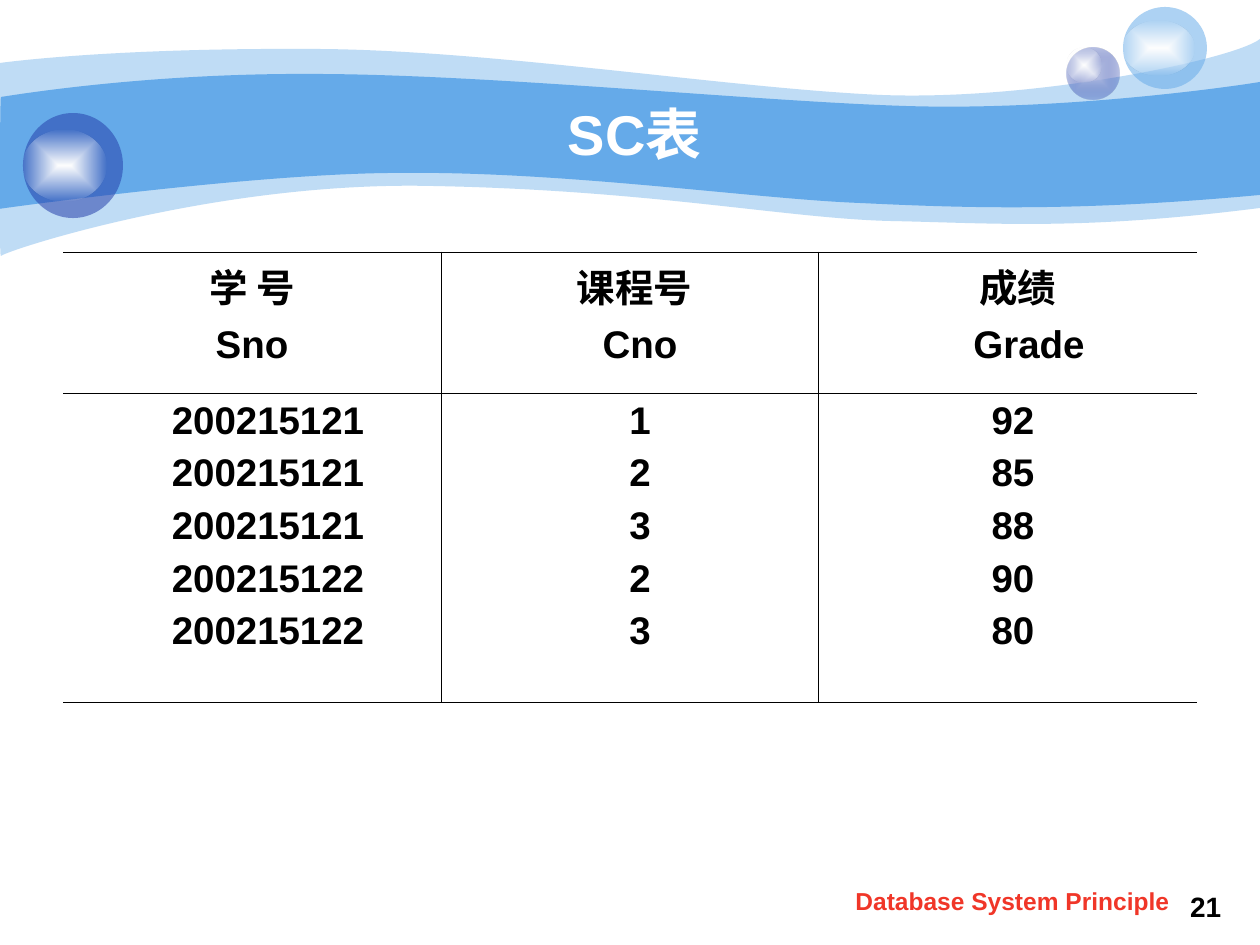
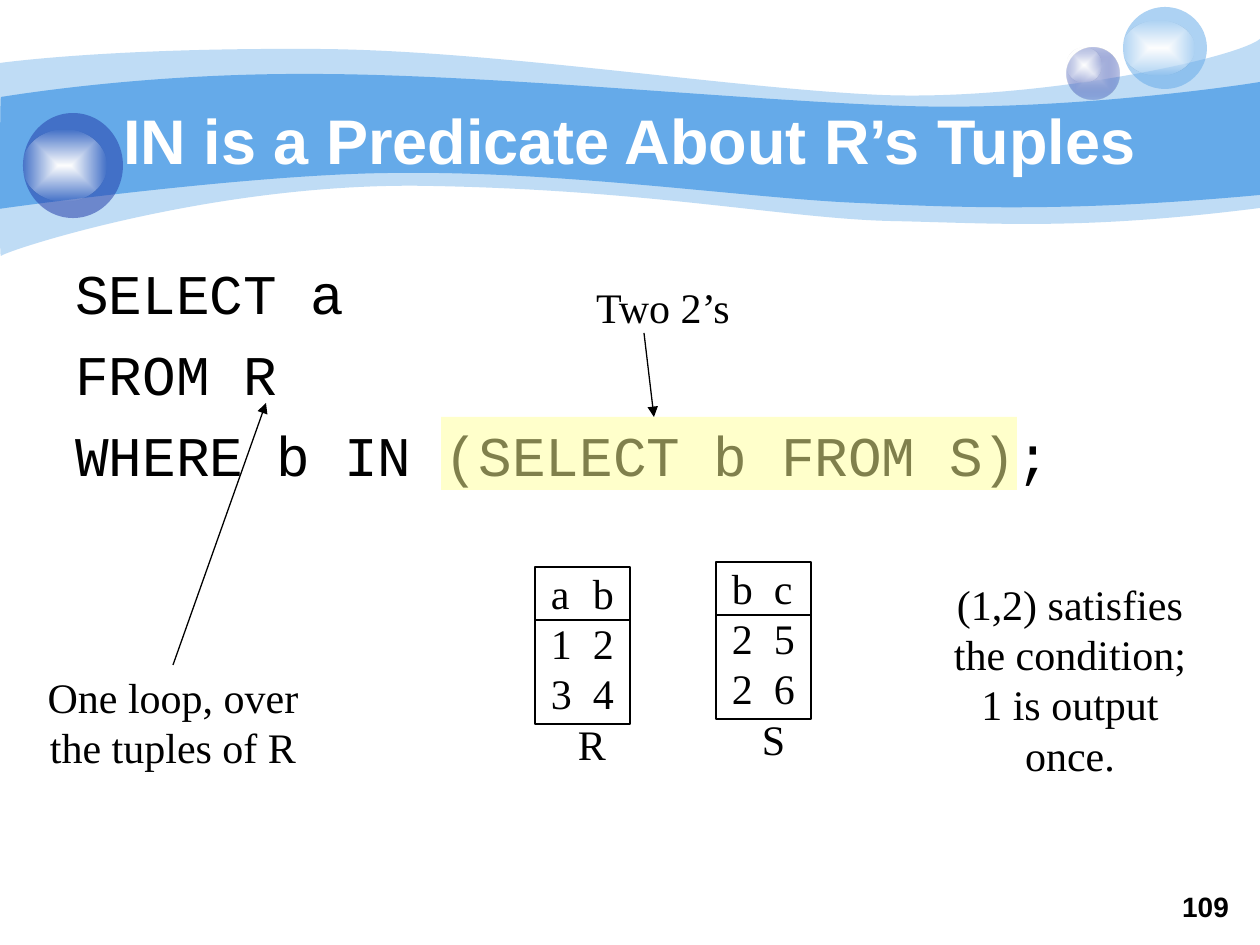
"""Build two database lecture slides: the SC table and the IN predicate."""
from dataclasses import dataclass

from lxml import etree
from pptx import Presentation
from pptx import util as u
from pptx.dml.color import RGBColor
from pptx.enum import shapes, text
from pptx.oxml import parse_xml
from pptx.oxml.ns import nsdecls, qn


@dataclass(frozen=True)
class Theme:
    sky: str = "65AAE9"
    navy: str = "233DA9"
    lilac: str = "C7CEE9"
    white: str = "FFFFFF"
    black: str = "000000"
    red: str = "F03628"
    yellow: str = "FFFF99"
    sans: str = "Arial"
    serif: str = "Times New Roman"
    mono: str = "Courier New"
    title: int = 32
    wide_title: int = 36
    code: int = 32
    note: int = 24
    cell: int = 22
    number: int = 16
    footer: int = 14
    rule: float = 0.45
    line: float = 0.75


T = Theme()
SCALE = 914400 / 126
SLIDE = (1260, 945)
CENTER, LEFT = text.PP_ALIGN.CENTER, text.PP_ALIGN.LEFT
TOP, MIDDLE = text.MSO_ANCHOR.TOP, text.MSO_ANCHOR.MIDDLE

OUTER_WAVE = [
    [(0, 63)],
    [(30, 59), (135, 48), (311, 49)],
    [(486, 49), (725, 88), (881, 95)],
    [(1036, 101), (1235, 59), (1260, 39)],
    [(1260, 208)],
    [(1079, 231), (992, 223), (888, 221)],
    [(784, 218), (649, 190), (432, 186)],
    [(217, 181), (5, 251), (1, 256)],
    [(-1, 262), (0, 95), (0, 63)],
]
INNER_WAVE = [
    [(1, 97)],
    [(3, 97), (139, 73), (312, 74)],
    [(486, 74), (750, 101), (905, 106)],
    [(1060, 111), (1230, 87), (1260, 82)],
    [(1260, 195)],
    [(1075, 212), (964, 208), (859, 203)],
    [(755, 199), (563, 171), (399, 173)],
    [(256, 173), (-3, 209), (-1, 209)],
    [(0, 209), (0, 97), (1, 97)],
]
WAVES = [(OUTER_WAVE, [(T.sky, 41)]), (INNER_WAVE, [(T.sky, 100)])]
GLOW = [(T.white, 100), (T.white, 0)]
BUBBLES = [
    ((1067, 48, 53, 51), [(T.lilac, 100), (T.navy, 31)]),
    ((1067, 48, 35, 34), GLOW),
    ((1123, 7, 84, 82), [(T.sky, 53)]),
    ((1123, 21, 71, 54), GLOW),
    ((23, 113, 100, 105), [(T.navy, 53)]),
    ((23, 130, 83, 71), GLOW),
]
NUMBER_BOX = (1166, 883, 79, 47)
FOOTER_BOX = (809, 880, 407, 44)

SC_CORNER = (63, 252)
SC_WIDTHS, SC_HEIGHTS = (378, 377, 379), (141, 309)
SC_HEAD = [
    ["学 号", "Sno"],
    [("课程号", 10), ("Cno", 21)],
    [("成绩", 20), ("Grade", 43)],
]
SC_COLUMNS = [
    (32, ["200215121", "200215121", "200215121", "200215122", "200215122"]),
    (21, ["1", "2", "3", "2", "3"]),
    (11, ["92", "85", "88", "90", "80"]),
]
QUERY = ["SELECT a", "FROM R", "WHERE b IN (SELECT b FROM S);"]
RELATIONS = [
    ((535, 567), ["a\tb", "1\t2", "3\t4", ("R", 27)]),
    ((716, 562), ["b\tc", "2\t5", "2\t6", ("S", 30)]),
]
LOOP_NOTE = ((35, 665, 276, 113), ["One loop, over", "the tuples of R"])
RESULT_NOTE = ((919, 572, 302, 164),
               ["(1,2) satisfies", "the condition;", "1 is output once."])
TWOS_NOTE = ((581, 275, 164, 63), ["Two 2’s"])
SUBQUERY_BOX = (441, 417, 576, 73)


def px(*values):
    return [u.Emu(round(v * SCALE)) for v in values]


def write(tf, lines, size=T.note, font=T.serif, color=T.black, bold=False,
          align=CENTER, before=0, anchor=TOP, wrap=True, tab=0):
    tf.word_wrap = wrap
    if not wrap:
        tf.auto_size = text.MSO_AUTO_SIZE.SHAPE_TO_FIT_TEXT
    tf.vertical_anchor = anchor
    for i, line in enumerate(lines):
        words, indent = (line, 0) if isinstance(line, str) else line
        p = tf.paragraphs[0] if i == 0 else tf.add_paragraph()
        props = p._p.get_or_add_pPr()
        if tab:
            stops = etree.SubElement(props, qn("a:tabLst"))
            etree.SubElement(stops, qn("a:tab"), pos=str(px(tab)[0]),
                             algn="l")
        if indent:
            props.set("marL", str(px(indent)[0]))
        p.alignment = align
        if i and before:
            p.space_before = u.Pt(before)
        r = p.add_run()
        r.text = words
        r.font.size, r.font.name, r.font.bold = u.Pt(size), font, bold
        r.font.color.rgb = RGBColor.from_string(color)


def add_text(s, box, lines, **fmt):
    sp = s.shapes.add_textbox(*px(*box))
    write(sp.text_frame, lines, **fmt)
    return sp


def draw_line(line):
    line.color.rgb = RGBColor.from_string(T.black)
    line.width = u.Pt(T.line)


def paint(sp, stops):
    sp.shadow.inherit = False
    sp.line.fill.background()
    colors = [f'<a:srgbClr val="{c}"><a:alpha val="{a * 1000}"/></a:srgbClr>'
              for c, a in stops]
    if len(stops) == 1:
        xml = f'<a:solidFill {nsdecls("a")}>{colors[0]}</a:solidFill>'
    else:
        gs = "".join(f'<a:gs pos="{i * 100000}">{c}</a:gs>'
                     for i, c in enumerate(colors))
        xml = (f'<a:gradFill {nsdecls("a")}><a:gsLst>{gs}</a:gsLst>'
               '<a:path path="rect"><a:fillToRect l="50000" t="50000" '
               'r="50000" b="50000"/></a:path></a:gradFill>')
    sp.fill.solid()
    props = sp._element.spPr
    props.replace(props.find(qn("a:solidFill")), parse_xml(xml))


def add_frame(s, box):
    sp = s.shapes.add_shape(shapes.MSO_SHAPE.RECTANGLE, *px(*box))
    sp.shadow.inherit = False
    sp.fill.background()
    draw_line(sp.line)
    return sp


def add_wave(s, parts, stops):
    (start,), *segments = parts
    fb = s.shapes.build_freeform(*start, scale=SCALE)
    fb.add_line_segments([q for seg in segments for q in seg], close=True)
    sp = fb.convert_to_shape()
    outline = next(sp._element.iter(qn("a:path")))
    knots = iter(outline.findall(qn("a:lnTo")))
    for seg in segments:
        group = [next(knots) for _ in seg]
        if len(group) == 3:
            curve = etree.Element(qn("a:cubicBezTo"))
            group[0].addprevious(curve)
            for knot in group:
                curve.append(knot[0])
                outline.remove(knot)
    paint(sp, stops)


def add_line(s, start, end, arrow=False):
    cx = s.shapes.add_connector(shapes.MSO_CONNECTOR.STRAIGHT,
                                *px(*start, *end))
    draw_line(cx.line)
    if arrow:
        etree.SubElement(cx.line._get_or_add_ln(), qn("a:tailEnd"),
                         type="triangle")
    etree.SubElement(cx._element.spPr, qn("a:effectLst"))
    return cx


def set_border(cell, side, ruled):
    ln = etree.SubElement(cell._tc.get_or_add_tcPr(), qn(f"a:ln{side}"),
                          w=str(u.Pt(T.rule)))
    if ruled:
        fill = etree.SubElement(ln, qn("a:solidFill"))
        etree.SubElement(fill, qn("a:srgbClr"), val=T.black)
    else:
        etree.SubElement(ln, qn("a:noFill"))


def add_grid(s, corner, widths, heights, cells, **fmt):
    box = (*corner, sum(widths), sum(heights))
    tbl = s.shapes.add_table(len(heights), len(widths), *px(*box)).table
    tbl.first_row = tbl.horz_banding = False
    for col, width in zip(tbl.columns, px(*widths)):
        col.width = width
    for row, height in zip(tbl.rows, px(*heights)):
        row.height = height
    for r, row in enumerate(cells):
        for c, lines in enumerate(row):
            cell = tbl.cell(r, c)
            for side, ruled in (("L", c > 0), ("R", c + 1 < len(widths)),
                                ("T", True), ("B", True)):
                set_border(cell, side, ruled)
            cell.fill.background()
            write(cell.text_frame, lines, **fmt)


def add_base(prs, number, title, title_box, title_size):
    s = prs.slides.add_slide(prs.slide_layouts[6])
    for parts, stops in WAVES:
        add_wave(s, parts, stops)
    for box, stops in BUBBLES:
        paint(s.shapes.add_shape(shapes.MSO_SHAPE.OVAL, *px(*box)), stops)
    add_text(s, NUMBER_BOX, [number], size=T.number, font=T.sans, bold=True)
    add_text(s, title_box, [title], size=title_size, font=T.sans,
             color=T.white, bold=True, anchor=MIDDLE)
    return s


def add_sc_slide(prs):
    s = add_base(prs, "21", "SC表", (126, 94, 1018, 78), T.title)
    add_text(s, FOOTER_BOX, ["Database System Principle"], size=T.footer,
             font=T.sans, color=T.red, bold=True)
    body = [[(v, indent) for v in values] for indent, values in SC_COLUMNS]
    add_grid(s, SC_CORNER, SC_WIDTHS, SC_HEIGHTS, [SC_HEAD, body],
             size=T.cell, font=T.sans, bold=True, before=5.5)


def add_relation(s, x, y, lines):
    sp = add_text(s, (x - 60, y - 6, 214, 214), lines, align=LEFT, tab=42)
    sp.text_frame.margin_left = px(76)[0]
    add_frame(s, (x, y, 95, 157))
    add_line(s, (x, y + 53), (x + 95, y + 53))


def add_in_slide(prs):
    s = add_base(prs, "109", "IN is a Predicate About R’s Tuples",
                 (0, 84, 1260, 111), T.wide_title)
    add_text(s, (63, 252, 1134, 620), QUERY, size=T.code, font=T.mono,
             align=LEFT, before=8)
    loop, _, _ = [add_text(s, box, lines, wrap=False)
                  for box, lines in (LOOP_NOTE, RESULT_NOTE, TWOS_NOTE)]
    add_line(s, (173, 665), (266, 403), arrow=True).begin_connect(loop, 0)
    for corner, lines in RELATIONS:
        add_relation(s, *corner, lines)
    subquery = add_frame(s, SUBQUERY_BOX)
    paint(subquery, [(T.yellow, 50)])
    draw_line(subquery.line)
    add_line(s, (644, 333), (654, 417), arrow=True)


def main():
    prs = Presentation()
    prs.slide_width, prs.slide_height = px(*SLIDE)
    add_sc_slide(prs)
    add_in_slide(prs)
    prs.save("out.pptx")


if __name__ == "__main__":
    main()
